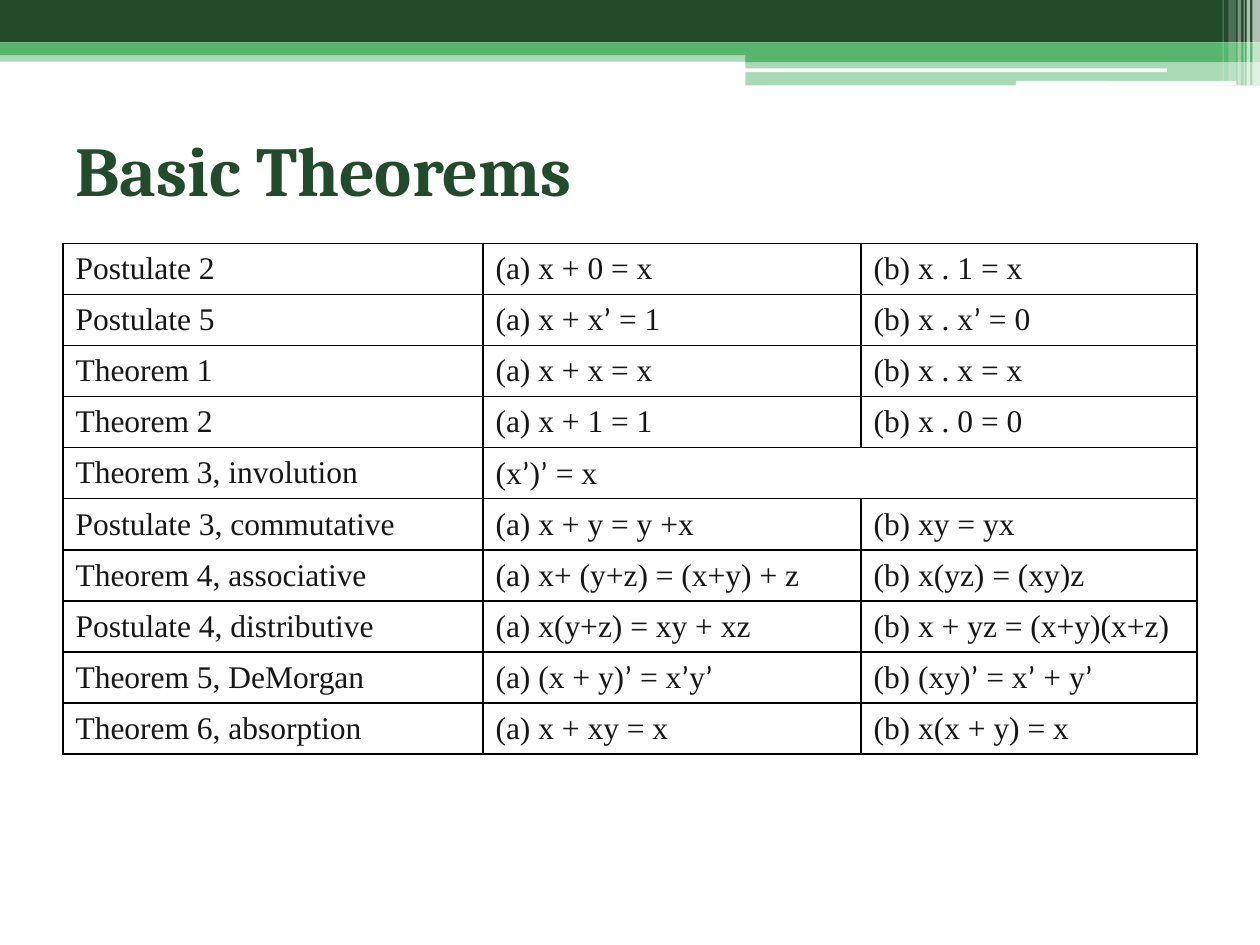
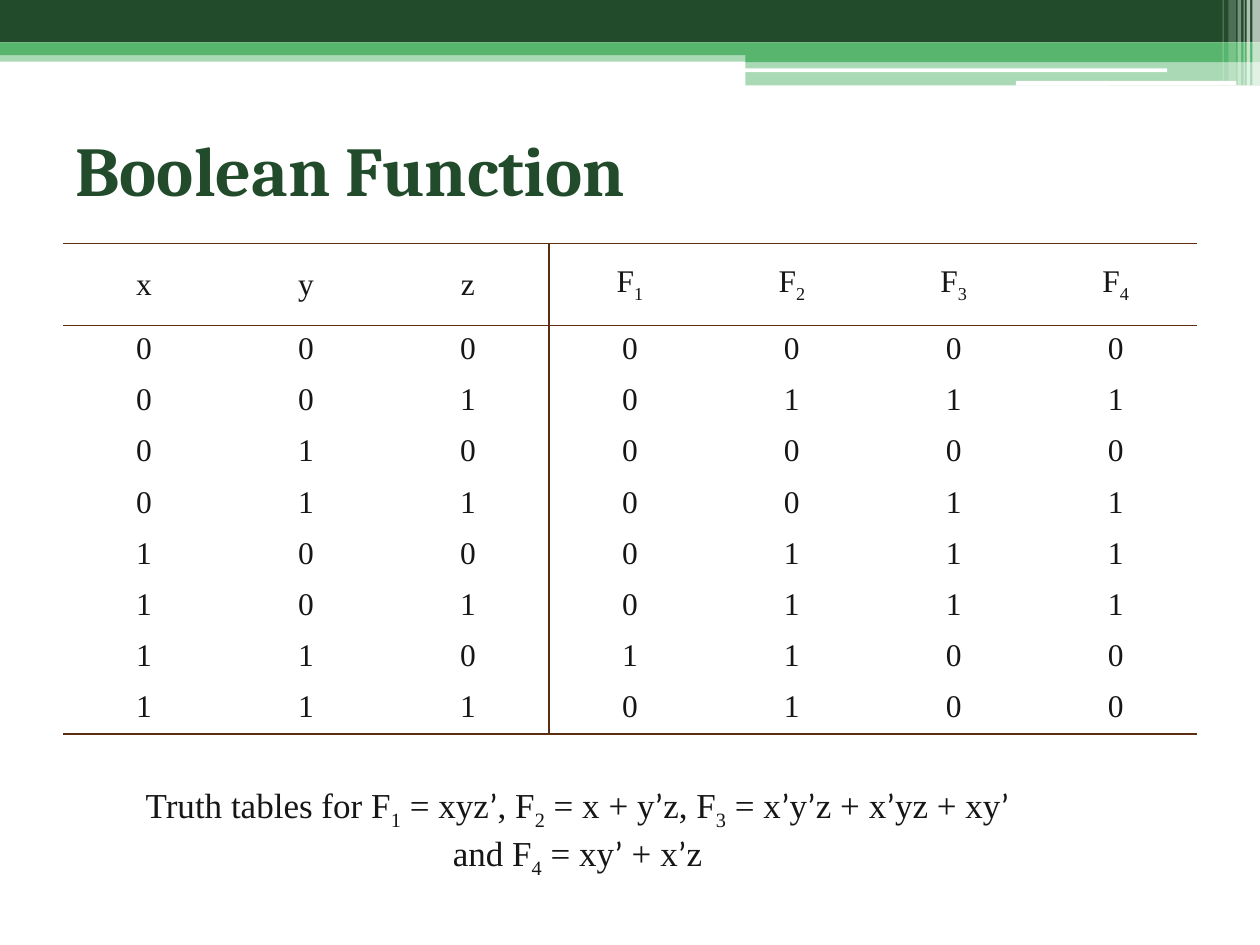
from dataclasses import dataclass
from itertools import groupby, product

from lxml.etree import SubElement
from pptx import Presentation
from pptx.dml.color import RGBColor as Color
from pptx.enum.shapes import MSO_SHAPE as Preset
from pptx.enum.text import MSO_ANCHOR as Anchor, PP_ALIGN as Align
from pptx.oxml.ns import qn
from pptx.util import Pt


@dataclass(frozen=True)
class Theme:
    dark: str = "214B2B"
    green: str = "57B56D"
    white: str = "FFFFFF"
    text: str = "161616"
    grid: str = "000000"
    rule: str = "5C2E14"
    title_font: str = "Cambria"
    body_font: str = "Times New Roman"
    prime_font: str = "Calibri"
    title_size: int = 40
    table_size: int = 18
    caption_size: int = 20


theme = Theme()
SUBSCRIPTS = "₁₂₃₄"
TABLE_LEFT, TABLE_TOP, TABLE_WIDTH, ROW_HEIGHT = 36, 139, 648, 29.2


def write_formula(paragraph, text, size, align):
    """Write text with primes in their own font and subscript digits lowered."""
    paragraph.alignment = align
    paragraph.font.size = Pt(size)
    paragraph.font.name = theme.body_font
    paragraph.font.color.rgb = Color.from_string(theme.text)
    kinds = groupby(text, lambda c: "sub" if c in SUBSCRIPTS else "prime" if c == "’" else "plain")
    for kind, characters in kinds:
        run = paragraph.add_run()
        run.text = "".join(characters)
        if kind == "prime":
            run.font.name = theme.prime_font
        elif kind == "sub":
            run.text = "".join(str(SUBSCRIPTS.index(c) + 1) for c in run.text)
            run.font._element.set("baseline", "-25000")


def format_cell(cell, edges, color):
    """Draw the named edges (of L, R, T, B), hide the others, clear the fill."""
    properties = cell._tc.get_or_add_tcPr()
    for edge in "LRTB":
        line = SubElement(properties, qn(f"a:ln{edge}"), w=str(Pt(1)))
        if edge in edges:
            fill = SubElement(line, qn("a:solidFill"))
            SubElement(fill, qn("a:srgbClr"), val=color)
        else:
            SubElement(line, qn("a:noFill"))
    cell.fill.background()


presentation = Presentation()
presentation.slide_width, presentation.slide_height = Pt(720), Pt(540)
layout = presentation.slide_layouts[5]
for placeholder in list(layout.placeholders):
    if placeholder.placeholder_format.idx != 0:
        placeholder.element.getparent().remove(placeholder.element)

# Slides and their titles
slides = []
for title_text in ("Basic Theorems", "Boolean Function"):
    slide = presentation.slides.add_slide(layout)
    title = slide.shapes.title
    title.left, title.top, title.width, title.height = Pt(36), Pt(54), Pt(648), Pt(84.2)
    title.text_frame.text = title_text
    title.text_frame.vertical_anchor = Anchor.MIDDLE
    paragraph = title.text_frame.paragraphs[0]
    paragraph.alignment = Align.LEFT
    paragraph.font.name = theme.title_font
    paragraph.font.size = Pt(theme.title_size)
    paragraph.font.bold = True
    paragraph.font.color.rgb = Color.from_string(theme.dark)
    slides.append(slide)
theorem_slide, function_slide = slides

# Header bands: preset, left, top, width, height, colour, opacity in percent
bands = [
    (Preset.RECTANGLE, 0, 28.8, 720, 6.5, theme.green, 50),
    (Preset.RECTANGLE, 0, 0, 720, 24.3, theme.dark, 100),
    (Preset.RECTANGLE, 0, 24.3, 720, 7.2, theme.green, 100),
    (Preset.RECTANGLE, 426, 28.3, 294, 7.2, theme.green, 100),
    (Preset.RECTANGLE, 426, 34.6, 294, 14.2, theme.green, 50),
    (Preset.ROUNDED_RECTANGLE, 425.7, 39.1, 241.2, 2.2, theme.white, 100),
    (Preset.ROUNDED_RECTANGLE, 580.5, 46.3, 126, 2.6, theme.white, 100),
]
stripes = [
    (715.7, 4.3, 48.8, 65), (712.4, 2, 48.8, 65), (710.6, 0.7, 48.8, 60),
    (707.2, 2, 48.8, 40), (702, 4.3, 46.3, 20), (698.6, 0.7, 46.3, 30),
]
bands += [(Preset.RECTANGLE, left, 0, width, height, theme.white, opacity)
          for left, width, height, opacity in stripes]
band_shapes = []
for preset, left, top, width, height, color, opacity in bands:
    shape = theorem_slide.shapes.add_shape(preset, Pt(left), Pt(top), Pt(width), Pt(height))
    shape.shadow.inherit = False
    shape.line.fill.background()
    shape.fill.solid()
    shape.fill.fore_color.rgb = Color.from_string(color)
    if opacity < 100:
        tint = shape.element.spPr.find(".//" + qn("a:srgbClr"))
        SubElement(tint, qn("a:alpha"), val=str(opacity * 1000))
    band_shapes.append(shape)

# The bands live on the layout, behind its title
for position, shape in enumerate(band_shapes, start=2):
    layout.shapes.element.insert(position, shape.element)

# Theorem table
theorems = [
    ("Postulate 2", "(a) x + 0 = x", "(b) x . 1 = x"),
    ("Postulate 5", "(a) x + x’ = 1", "(b) x . x’ = 0"),
    ("Theorem 1", "(a) x + x = x", "(b) x . x = x"),
    ("Theorem 2", "(a) x + 1 = 1", "(b) x . 0 = 0"),
    ("Theorem 3, involution", "(x’)’ = x", ""),
    ("Postulate 3, commutative", "(a) x + y = y +x", "(b) xy = yx"),
    ("Theorem 4, associative", "(a) x+ (y+z) = (x+y) + z", "(b) x(yz) = (xy)z"),
    ("Postulate 4, distributive", "(a) x(y+z) = xy + xz", "(b) x + yz = (x+y)(x+z)"),
    ("Theorem 5, DeMorgan", "(a) (x + y)’ = x’y’", "(b) (xy)’ = x’ + y’"),
    ("Theorem 6, absorption", "(a) x + xy = x", "(b) x(x + y) = x"),
]
table = theorem_slide.shapes.add_table(
    len(theorems), 3, Pt(TABLE_LEFT), Pt(TABLE_TOP), Pt(TABLE_WIDTH),
    Pt(ROW_HEIGHT * len(theorems))).table
table.first_row = table.horz_banding = False
for column, width in zip(table.columns, (240, 216, 192)):
    column.width = Pt(width)
for row, texts in enumerate(theorems):
    for column, text in enumerate(texts):
        cell = table.cell(row, column)
        cell.vertical_anchor = Anchor.MIDDLE
        write_formula(cell.text_frame.paragraphs[0], text, theme.table_size, Align.LEFT)
        format_cell(cell, "LRTB", theme.grid)
    if not texts[2]:
        table.cell(row, 1).merge(table.cell(row, 2))

# Truth table: the inputs count up in binary, each function lists its outputs
names = ["x", "y", "z", "F₁", "F₂", "F₃", "F₄"]
outputs = ["00000010", "01001111", "01011100", "01011100"]
truth_rows = [names] + [list(inputs) + list(results) for inputs, results
                        in zip(product("01", repeat=3), zip(*outputs))]
header_height = 46.9
table = function_slide.shapes.add_table(
    len(truth_rows), len(names), Pt(TABLE_LEFT), Pt(TABLE_TOP), Pt(TABLE_WIDTH),
    Pt(header_height + ROW_HEIGHT * (len(truth_rows) - 1))).table
table.first_row = table.horz_banding = False
for column in table.columns:
    column.width = Pt(TABLE_WIDTH / len(names))
table.rows[0].height = Pt(header_height)
for row in range(1, len(truth_rows)):
    table.rows[row].height = Pt(ROW_HEIGHT)
for row, texts in enumerate(truth_rows):
    for column, text in enumerate(texts):
        cell = table.cell(row, column)
        cell.vertical_anchor = Anchor.MIDDLE if row == 0 else Anchor.TOP
        write_formula(cell.text_frame.paragraphs[0], text, theme.table_size, Align.CENTER)
        edges = {0: "TB", 1: "T", len(truth_rows) - 1: "B"}.get(row, "")
        edges += {2: "R", 3: "L"}.get(column, "")
        format_cell(cell, edges, theme.rule)

# Caption under the truth table
caption = function_slide.shapes.add_textbox(Pt(60), Pt(444.2), Pt(540), Pt(55.4))
caption.text_frame.word_wrap = True
write_formula(
    caption.text_frame.paragraphs[0],
    "Truth tables for F₁ = xyz’, F₂ = x + y’z, F₃ = x’y’z + x’yz + xy’ and F₄ = xy’ + x’z",
    theme.caption_size, Align.CENTER)

presentation.save("out.pptx")
